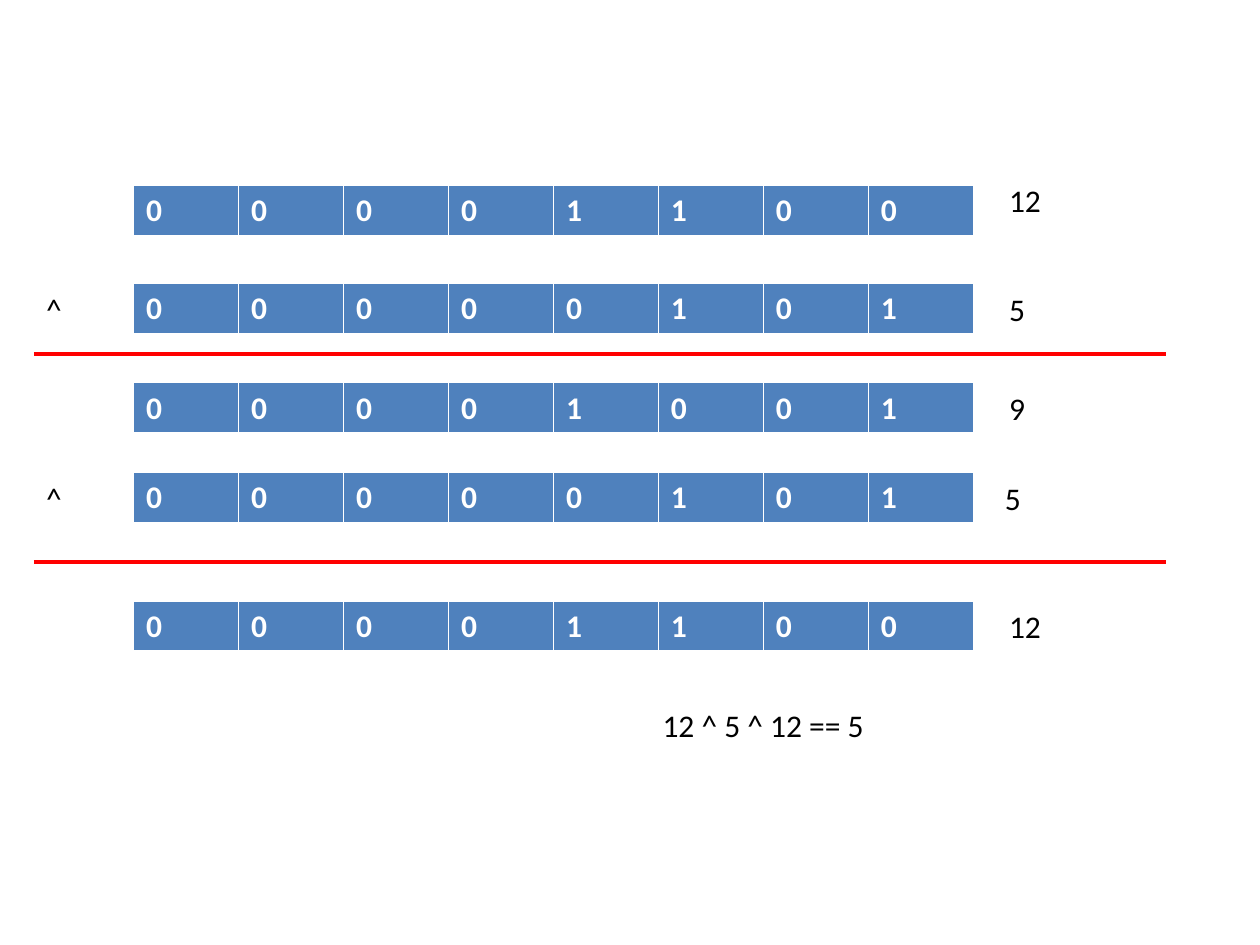
import pptx
import pptx.dml.color
import pptx.enum.shapes
import pptx.enum.text
import pptx.oxml
import pptx.oxml.ns
import pptx.util

RGBColor = pptx.dml.color.RGBColor
BLUE = RGBColor(0x4F, 0x81, 0xBD)
WHITE = RGBColor(0xFF, 0xFF, 0xFF)
BLACK = RGBColor(0, 0, 0)
RED = RGBColor(0xFF, 0, 0)

# The grid starts at the first bit: one column per bit, one row per register height
LEFT, TOP = 1.06, 1.47
COLUMN, ROW = 10 / 12, 0.4
BITS = 8
SIGN_COLUMN, VALUE_COLUMN, RULE_END = -0.95, 8.22, 9.83


class Sheet:
    """Holds the text style and the current slide; lengths are grid units."""

    font, size = "Calibri", 18

    def __init__(self, page):
        self.page = page

    def place(self, column, row):
        return (pptx.util.Inches(LEFT + column * COLUMN),
                pptx.util.Inches(TOP + row * ROW))

    def extent(self, columns, rows=1):
        return pptx.util.Inches(columns * COLUMN), pptx.util.Inches(rows * ROW)

    def add_span(self, para, words, color, bold=False):
        span = para.add_run()
        span.text = words
        span.font.name = self.font
        span.font.size = pptx.util.Pt(self.size)
        span.font.bold = bold
        span.font.color.rgb = color

    def text(self, words, column, row, columns):
        box = self.page.shapes.add_textbox(*self.place(column, row), *self.extent(columns))
        frame = box.text_frame
        frame.word_wrap = True
        frame.auto_size = pptx.enum.text.MSO_AUTO_SIZE.SHAPE_TO_FIT_TEXT
        self.add_span(frame.paragraphs[0], words, BLACK)

    def border(self, cell):
        properties = cell._tc.get_or_add_tcPr()
        for side, points in (("L", 0.45), ("R", 0.45), ("T", 0.45), ("B", 1.47)):
            properties.append(pptx.oxml.parse_xml(
                f'<a:ln{side} {pptx.oxml.ns.nsdecls("a")} w="{pptx.util.Pt(points)}">'
                f'<a:solidFill><a:srgbClr val="{WHITE}"/></a:solidFill></a:ln{side}>'))

    def register(self, number, row):
        table = self.page.shapes.add_table(
            1, BITS, *self.place(0, row), *self.extent(BITS)).table
        table.first_row = table.horz_banding = False
        for cell, bit in zip(table.iter_cells(), f"{number:0{BITS}b}"):
            self.border(cell)
            cell.fill.solid()
            cell.fill.fore_color.rgb = BLUE
            self.add_span(cell.text_frame.paragraphs[0], bit, WHITE, bold=True)

    def rule(self, row):
        line = self.page.shapes.add_connector(
            pptx.enum.shapes.MSO_CONNECTOR.STRAIGHT,
            *self.place(SIGN_COLUMN, row), *self.place(RULE_END, row))
        line.line.color.rgb = RED
        line.line.width = pptx.util.Pt(2.25)
        line._element.spPr.append(
            pptx.oxml.parse_xml(f'<a:effectLst {pptx.oxml.ns.nsdecls("a")}/>'))


def main():
    deck = pptx.Presentation()
    deck.slide_width, deck.slide_height = pptx.util.Inches(10), pptx.util.Inches(7.5)
    sheet = Sheet(deck.slides.add_slide(deck.slide_layouts[6]))

    # Registers: number, row, sign, and the shift of the value beside it
    for number, row, sign, across, down in (
            (12, 0, "", 0, -0.2),
            (5, 1.95, "^", 0, 0),
            (9, 3.92, "", 0, 0),
            (5, 5.7, "^", -0.04, 0),
            (12, 8.25, "", 0, 0)):
        sheet.register(number, row)
        sheet.text(str(number), VALUE_COLUMN + across, row + down, 0.95)
        if sign:
            sheet.text(sign, SIGN_COLUMN, row, 0.85)

    # Rules above the two results
    for row in (3.35, 7.47):
        sheet.rule(row)

    # Summary
    sheet.text("12 ^ 5 ^ 12 == 5", 4.92, 10.22, 4.07)

    deck.save("out.pptx")


if __name__ == "__main__":
    main()
